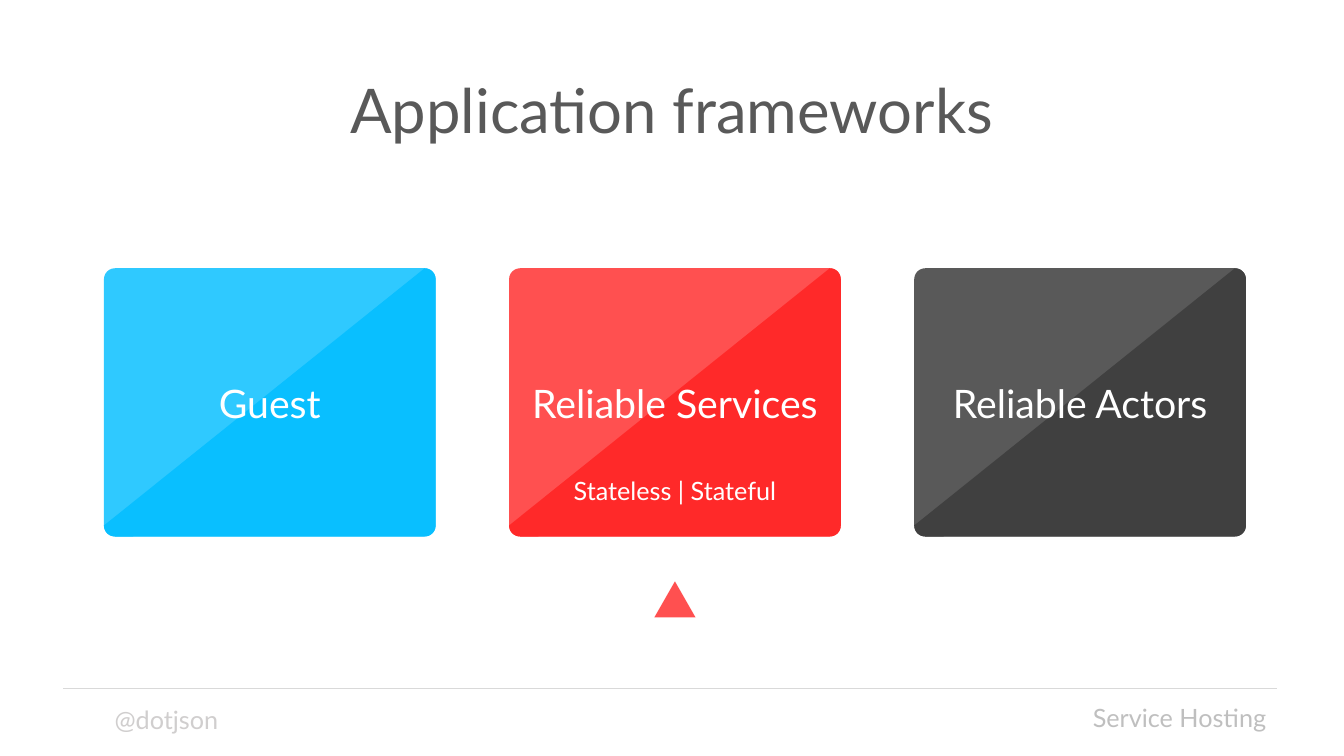
import math

import lxml.etree
import pptx
import pptx.dml.color
import pptx.enum.shapes
import pptx.enum.text
import pptx.oxml.ns
import pptx.util

Cm = pptx.util.Cm
SHAPE = pptx.enum.shapes.MSO_SHAPE
ALIGN = pptx.enum.text.PP_ALIGN
ANCHOR = pptx.enum.text.MSO_ANCHOR


def colour(code):
    return pptx.dml.color.RGBColor.from_string(code)


def write(holder, text, size=18, ink="FFFFFF", align=ALIGN.CENTER,
          anchor=ANCHOR.MIDDLE, spacing=None):
    frame = holder.text_frame
    frame.word_wrap = True
    frame.vertical_anchor = anchor
    paragraph = frame.paragraphs[0]
    paragraph.alignment = align
    paragraph.line_spacing = spacing
    run = paragraph.add_run()
    run.text = text
    run.font.name = "Lato"
    run.font.size = pptx.util.Pt(size)
    run.font.color.rgb = colour(ink)


deck = pptx.Presentation()
deck.slide_width = Cm(33.87)
deck.slide_height = Cm(19.05)
slide = deck.slides.add_slide(deck.slide_layouts[6])
shapes = slide.shapes

footer_rule = shapes.add_connector(
    pptx.enum.shapes.MSO_CONNECTOR.STRAIGHT, Cm(1.6), Cm(17.35), Cm(32.18), Cm(17.35))
footer_rule.line.color.rgb = colour("D9D9D9")
footer_rule.line.width = pptx.util.Pt(1)
lxml.etree.SubElement(footer_rule.element.spPr, pptx.oxml.ns.qn("a:effectLst"))

title = shapes.add_textbox(Cm(2.33), Cm(1.02), Cm(29.21), Cm(3.68))
write(title, "Application frameworks", size=44, ink="595959", spacing=0.9)

handle = shapes.add_textbox(Cm(2.64), Cm(17.63), Cm(5.41), Cm(1.02))
write(handle, "@dotjson", ink="D0CECE", align=ALIGN.LEFT, anchor=ANCHOR.TOP)

topic = shapes.add_textbox(Cm(23.06), Cm(17.58), Cm(9.1), Cm(1.02))
write(topic, "Service Hosting", ink="BFBFBF", align=ALIGN.RIGHT, anchor=ANCHOR.TOP)

CARD_LEFT, CARD_TOP, CARD_WIDTH, CARD_HEIGHT = Cm(2.62), Cm(6.76), Cm(8.36), Cm(6.76)
CARD_PITCH = Cm(10.21)
CORNER = 0.041
radius = CARD_HEIGHT * CORNER
bottom = CARD_TOP + CARD_HEIGHT

frameworks = [
    ("Guest", "2FC9FF", "09BFFF"),
    ("Reliable Services", "FF5050", "FF2929"),
    ("Reliable Actors", "595959", "404040"),
]
filled = []
for index, (name, light, dark) in enumerate(frameworks):
    left = CARD_LEFT + index * CARD_PITCH
    right = left + CARD_WIDTH
    card = shapes.add_shape(SHAPE.ROUNDED_RECTANGLE, left, CARD_TOP, CARD_WIDTH, CARD_HEIGHT)
    card.adjustments[0] = CORNER

    corners = [
        (right - radius, CARD_TOP + radius, -90),
        (right - radius, bottom - radius, 0),
        (left + radius, bottom - radius, 90),
    ]
    outline = [
        (x + radius * math.cos(math.radians(start + turn)),
         y + radius * math.sin(math.radians(start + turn)))
        for x, y, start in corners
        for turn in range(0, 91, 10)
    ]
    builder = shapes.build_freeform(*outline[0])
    builder.add_line_segments(outline[1:], close=True)
    shade = builder.convert_to_shape()
    write(shade, name, size=28)
    filled += [(card, light), (shade, dark)]

services_left = CARD_LEFT + CARD_PITCH
pointer_width = Cm(1.04)
pointer = shapes.add_shape(
    SHAPE.ISOSCELES_TRIANGLE, services_left + (CARD_WIDTH - pointer_width) // 2,
    Cm(14.65), pointer_width, Cm(0.91))
filled.append((pointer, "FF5050"))

for shape, code in filled:
    shape.fill.solid()
    shape.fill.fore_color.rgb = colour(code)
    shape.line.fill.background()
    shape.shadow.inherit = False

service_kinds = shapes.add_textbox(services_left, Cm(11.76), CARD_WIDTH, Cm(1.22))
write(service_kinds, "Stateless | Stateful")

deck.save("out.pptx")
